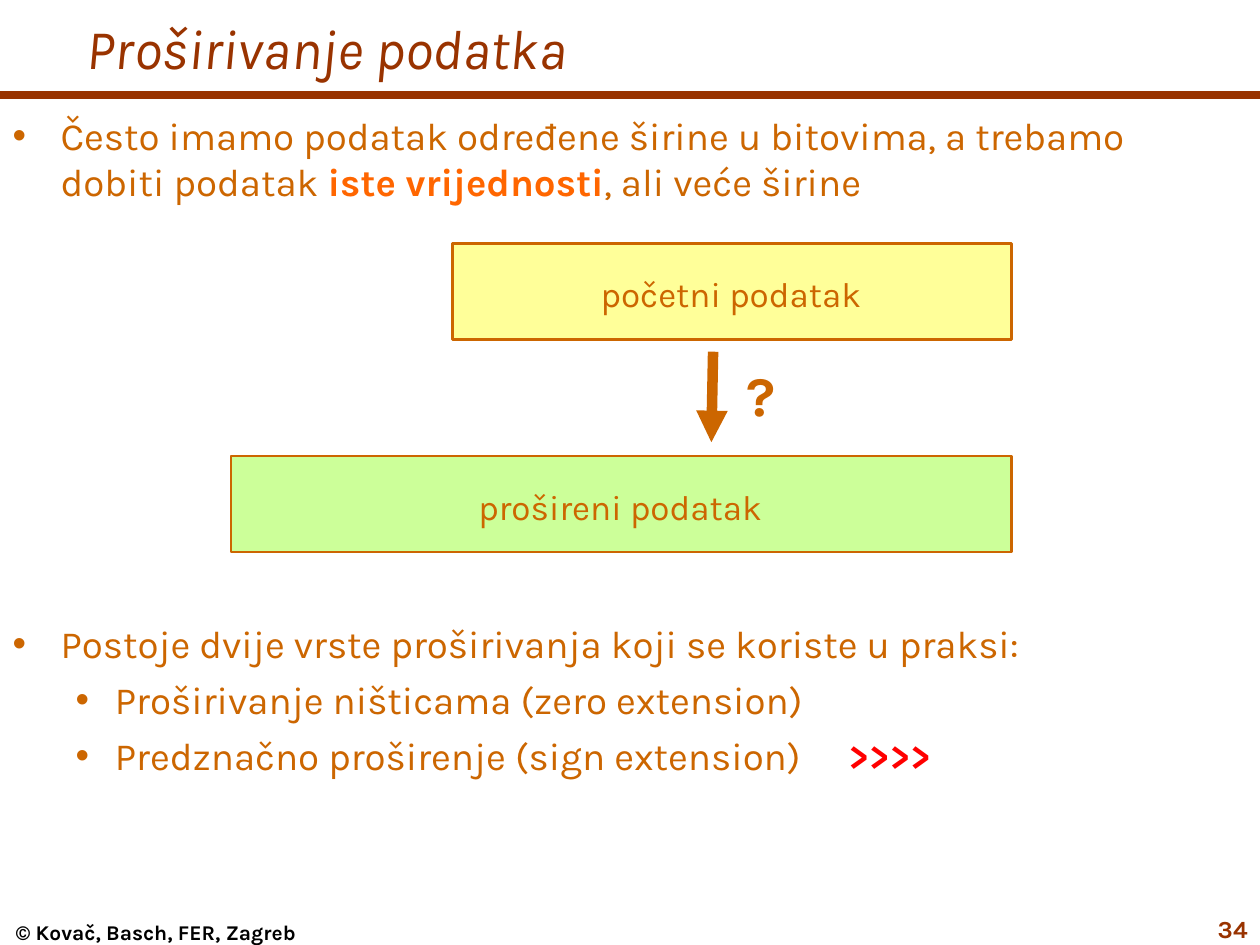
from lxml.etree import SubElement
from pptx import Presentation
from pptx.dml.color import RGBColor
from pptx.enum.shapes import MSO_CONNECTOR, MSO_SHAPE
from pptx.enum.text import MSO_ANCHOR, MSO_AUTO_SIZE, PP_ALIGN
from pptx.oxml.ns import qn
from pptx.util import Pt

FONT = "Karla"
COLORS = {
    "brown": "993300",
    "text": "CC6600",
    "accent": "FF6600",
    "red": "FF0000",
    "black": "000000",
    "yellow": "FFFF99",
    "green": "CCFF99",
}


def rgb(name):
    return RGBColor.from_string(COLORS[name])


def add_run(p, text, size, color="text", bold=False, italic=False):
    r = p.add_run()
    r.text = text
    r.font.name = FONT
    r.font.size = Pt(size)
    r.font.bold = bold
    r.font.italic = italic
    r.font.color.rgb = rgb(color)
    return r


def place(sp, left, top, width, height):
    sp.left, sp.top, sp.width, sp.height = Pt(left), Pt(top), Pt(width), Pt(height)


def add_label(s, box, text, size, color="text", bold=False, align=PP_ALIGN.CENTER, inset=True):
    tf = s.shapes.add_textbox(*map(Pt, box)).text_frame
    tf.word_wrap = True
    if not inset:
        tf.margin_left = tf.margin_right = tf.margin_top = tf.margin_bottom = 0
    p = tf.paragraphs[0]
    p.alignment = align
    add_run(p, text, size, color, bold)


def add_line(s, start, end, color, width, arrow=False):
    cn = s.shapes.add_connector(MSO_CONNECTOR.STRAIGHT, *map(Pt, start + end))
    cn.line.color.rgb = rgb(color)
    cn.line.width = Pt(width)
    if arrow:
        SubElement(cn.line._get_or_add_ln(), qn("a:tailEnd"), type="triangle")
    SubElement(cn._element.spPr, qn("a:effectLst"))


def add_data_box(s, left, top, right, fill, text):
    width = right - left
    sp = s.shapes.add_shape(MSO_SHAPE.RECTANGLE, Pt(left), Pt(top), Pt(width), Pt(55))
    sp.shadow.inherit = False
    sp.fill.solid()
    sp.fill.fore_color.rgb = rgb(fill)
    sp.line.color.rgb = rgb("text")
    sp.line.width = Pt(1.5)
    add_label(s, (left + 2, top + 13.4, width - 5, 31.5), text, 20)


def add_bullet(p, level, before):
    margin, hanging = ((27.5, 27.5), (58.5, 22.5))[level]
    p.level = level
    p.alignment = PP_ALIGN.LEFT
    p.line_spacing = 1.0
    p.space_before = Pt(before)
    pPr = p._p.get_or_add_pPr()
    pPr.set("marL", str(Pt(margin)))
    pPr.set("indent", str(-Pt(hanging)))
    color = SubElement(pPr, qn("a:buClr"))
    SubElement(color, qn("a:srgbClr"), val=COLORS["text"])
    SubElement(pPr, qn("a:buFont"), typeface="Arial")
    SubElement(pPr, qn("a:buChar"), char="•")


def fill_title(s):
    sp = s.shapes.title
    place(sp, 42.5, 0, 677.5, 54)
    tf = sp.text_frame
    tf.auto_size = MSO_AUTO_SIZE.NONE
    tf.vertical_anchor = MSO_ANCHOR.MIDDLE
    p = tf.paragraphs[0]
    p.alignment = PP_ALIGN.LEFT
    add_run(p, "Proširivanje podatka", 32, "brown", italic=True)


def fill_body(s):
    sp = s.placeholders[1]
    place(sp, 0, 60.5, 699, 444)
    tf = sp.text_frame
    tf.auto_size = MSO_AUTO_SIZE.NONE
    items = [
        (0, 0, [
            ("Često imamo podatak određene širine u bitovima, a trebamo dobiti podatak ",),
            ("iste vrijednosti", "accent", True),
            (", ali veće širine",),
        ]),
        (0, 237.5, [("Postoje dvije vrste proširivanja koji se koriste u praksi:",)]),
        (1, 5.5, [("Proširivanje ništicama (zero extension)",)]),
        (1, 5.5, [("Predznačno proširenje (sign extension)",)]),
    ]
    for i, (level, before, runs) in enumerate(items):
        p = tf.add_paragraph() if i else tf.paragraphs[0]
        add_bullet(p, level, before)
        for text, *style in runs:
            add_run(p, text, 22, *style)
    gap = add_run(p, " ", 22)
    gap.font._element.set("spc", "2200")
    add_run(p, ">>>>", 22, "red", True)


def main():
    prs = Presentation()
    prs.slide_width, prs.slide_height = Pt(720), Pt(540)
    s = prs.slides.add_slide(prs.slide_layouts[1])
    add_line(s, (0, 54.5), (720, 54.5), "brown", 4.5)
    add_label(s, (0, 525.5, 178, 14.5), "© Kovač, Basch, FER, Zagreb", 12, "black", True, inset=False)
    fill_title(s)
    fill_body(s)
    add_data_box(s, 258.5, 139, 578, "yellow", "početni podatak")
    add_data_box(s, 132, 260.5, 578, "green", "prošireni podatak")
    add_line(s, (407.5, 201), (406.5, 252.7), "text", 6, arrow=True)
    add_label(s, (414.5, 202.5, 41, 46), "?", 32, bold=True)
    add_label(s, (660, 519, 60, 20), "34", 14, "brown", True, PP_ALIGN.RIGHT)
    prs.save("out.pptx")


if __name__ == "__main__":
    main()
